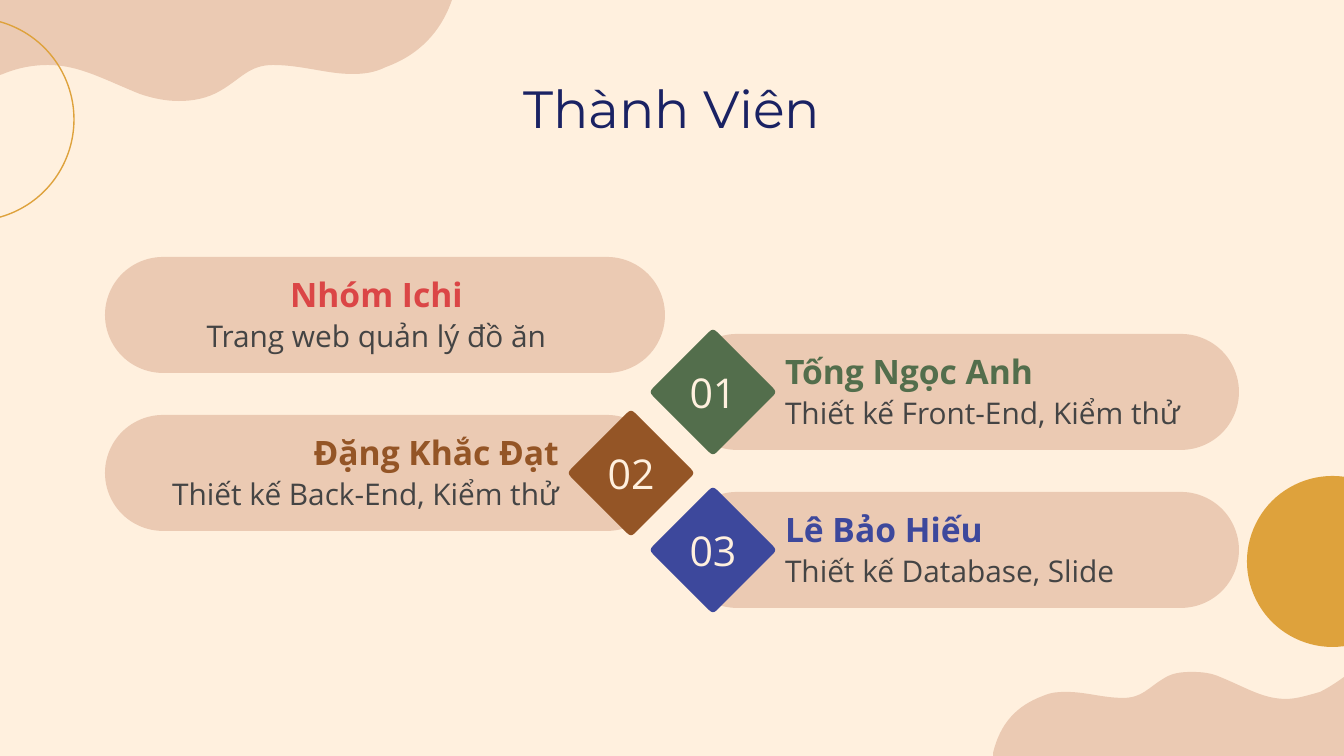
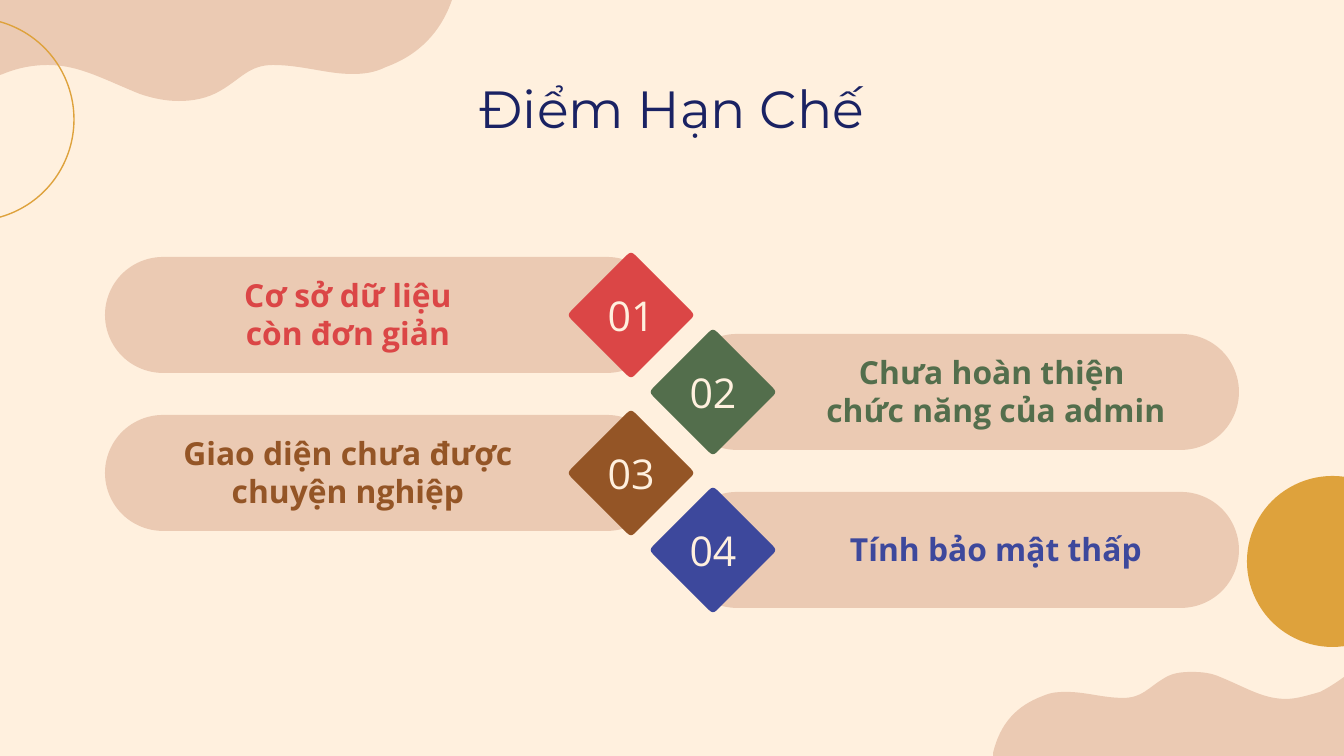
import pptx
import pptx.util
import pptx.dml.color
import pptx.enum.shapes
import pptx.enum.text
import pptx.oxml
import pptx.oxml.ns

# Content: (colour, number, lines) by slot, the slots alternating left and right
MEMBERS = [
    ("red", None, ["Nhóm Ichi", "Trang web quản lý đồ ăn"]),
    ("green", "01", ["Tống Ngọc Anh", "Thiết kế Front-End, Kiểm thử"]),
    ("brown", "02", ["Đặng Khắc Đạt", "Thiết kế Back-End, Kiểm thử"]),
    ("indigo", "03", ["Lê Bảo Hiếu", "Thiết kế Database, Slide"]),
]
LIMITS = [
    ("red", "01", ["Cơ sở dữ liệu", "còn đơn giản"]),
    ("green", "02", ["Chưa hoàn thiện ", "chức năng của admin"]),
    ("brown", "03", ["Giao diện chưa được chuyện nghiệp"]),
    ("indigo", "04", ["Tính bảo mật thấp"]),
]

# Shared style
COLORS = {
    "cream": "FFF0DE", "sand": "EBCAB3", "gold": "DEA23C", "navy": "1A2263",
    "gray": "444444", "red": "DB4646", "green": "536E4C", "brown": "945526",
    "indigo": "3D489C",
}
STYLES = {
    "title": {"name": "Montserrat", "size": 28, "bold": False},
    "number": {"name": "Open Sans", "size": 22, "bold": False},
    "name": {"name": "Open Sans", "size": 18, "bold": True},
    "role": {"name": "Open Sans", "size": 16, "bold": False},
    "limit": {"name": "Open Sans", "size": 17, "bold": True},
}
PX = 914400 / 134.4
PAGE_W, PAGE_H = 1344, 756
PILL_W, PILL_H = 560, 116
PILL_X = (105, 679)
TEXT_X = (124, 772)
DIAMOND_X = (568, 650)
DIAMOND = 126
TEXT_W, LINE_H, LIMIT_H = 448, 36, 75
INSET = 13

# Outlines: one point is a line, three points are a Bezier curve
TOP_WAVE = [
    [(0, 0)], [(0, 75)], [(3, 74)],
    [(20, 67), (35, 65), (48, 65)],
    [(79, 65), (103, 79), (140, 94)],
    [(152, 98), (165, 101), (179, 101)],
    [(194, 101), (208, 98), (220, 91)],
    [(241, 79), (249, 65), (273, 65)],
    [(302, 65), (327, 74), (352, 74)],
    [(363, 74), (374, 73), (386, 67)],
    [(419, 55), (441, 32), (452, 0)],
]
BOTTOM_WAVE = [
    [(1344, 756)], [(1344, 677)],
    [(1336, 683), (1328, 688), (1320, 692)],
    [(1306, 696), (1296, 699), (1286, 699)],
    [(1263, 699), (1247, 688), (1220, 677)],
    [(1211, 673), (1202, 672), (1192, 672)],
    [(1181, 672), (1172, 673), (1163, 679)],
    [(1148, 688), (1142, 698), (1123, 698)],
    [(1103, 698), (1086, 692), (1067, 692)],
    [(1059, 692), (1052, 692), (1043, 696)],
    [(1016, 706), (1000, 724), (993, 753)],
    [(993, 756)],
]

SHAPE = pptx.enum.shapes.MSO_SHAPE
ALIGN = pptx.enum.text.PP_ALIGN


def emu(px):
    return round(px * PX)


def rgb(color):
    return pptx.dml.color.RGBColor.from_string(COLORS[color])


def paint(shape, fill=None, line=None):
    shape.shadow.inherit = False
    if fill:
        shape.fill.solid()
        shape.fill.fore_color.rgb = rgb(fill)
    else:
        shape.fill.background()
    if line:
        shape.line.color.rgb = rgb(line)
        shape.line.width = pptx.util.Pt(0.75)
    else:
        shape.line.fill.background()


def add_preset(page, kind, left, top, width, height, **colors):
    shape = page.shapes.add_shape(kind, emu(left), emu(top), emu(width), emu(height))
    paint(shape, **colors)
    return shape


def add_outline(page, segments, fill):
    points = [(emu(x), emu(y)) for segment in segments for x, y in segment]
    builder = page.shapes.build_freeform(*points[0])
    builder.add_line_segments(points[1:], close=True)
    shape = builder.convert_to_shape()
    # Join each run of three line steps that stands for a curve
    steps = iter(shape._element.findall(".//" + pptx.oxml.ns.qn("a:lnTo")))
    for segment in segments[1:]:
        group = [next(steps) for _ in segment]
        if len(group) == 3:
            curve = pptx.oxml.parse_xml(
                "<a:cubicBezTo %s/>" % pptx.oxml.ns.nsdecls("a"))
            group[0].addprevious(curve)
            for step in group:
                curve.append(step[0])
                step.getparent().remove(step)
    paint(shape, fill=fill)
    return shape


def write(shape, lines, style, color, align=ALIGN.CENTER):
    frame = shape.text_frame
    layout = {"word_wrap": True, "vertical_anchor": pptx.enum.text.MSO_ANCHOR.MIDDLE}
    for side in ("left", "right", "top", "bottom"):
        layout["margin_" + side] = emu(INSET)
    for key, value in layout.items():
        setattr(frame, key, value)
    for index, line in enumerate(lines):
        para = frame.add_paragraph() if index else frame.paragraphs[0]
        para.alignment = align
        span = para.add_run()
        span.text = line
        for key, value in STYLES[style].items():
            setattr(span.font, key, pptx.util.Pt(value) if key == "size" else value)
        span.font.color.rgb = rgb(color)


def add_text(holder, left, top, width, height, *text, **options):
    box = holder.shapes.add_textbox(emu(left), emu(top), emu(width), emu(height))
    write(box, *text, **options)


def add_diamond(page, left, top, color, number):
    # Each tip is cut back by 4 px and rounded
    half = DIAMOND // 2
    reach = half + 1
    segments = []
    for dx, dy in ((0, -1), (1, 0), (0, 1), (-1, 0)):
        x, y = left + half + dx * reach, top + half + dy * reach
        corner = [(x - cut * dx + turn * dy, y - cut * dy - turn * dx)
                  for cut, turn in ((4, 4), (1, 1), (1, -1), (4, -4))]
        segments += [corner[:1], corner[1:]]
    write(add_outline(page, segments, color), [number], "number", "cream")


def add_page(deck, title):
    page = deck.slides.add_slide(deck.slide_layouts[6])
    page.background.fill.solid()
    page.background.fill.fore_color.rgb = rgb("cream")
    add_outline(page, BOTTOM_WAVE, "sand")
    add_preset(page, SHAPE.OVAL, 1247, 476, 171, 171, fill="gold")
    add_outline(page, TOP_WAVE, "sand")
    add_preset(page, SHAPE.OVAL, -129, 18, 203, 203, line="gold")
    add_text(page, 105, 66, 1134, 84, [title], "title", "navy")
    return page


def place(slot):
    row, side = divmod(slot, 2)
    return side, 257 + 158 * row + 77 * side


def add_pills(page, items):
    for slot in range(len(items)):
        side, top = place(slot)
        pill = add_preset(page, SHAPE.ROUNDED_RECTANGLE, PILL_X[side], top,
                          PILL_W, PILL_H, fill="sand")
        pill.adjustments[0] = 0.5
    for slot, (color, number, _) in enumerate(items):
        side, top = place(slot)
        if number:
            add_diamond(page, DIAMOND_X[side], top - 5, color, number)


def add_members(deck):
    page = add_page(deck, "Thành Viên")
    add_pills(page, MEMBERS)
    for slot, (color, number, (name, role)) in enumerate(MEMBERS):
        side, top = place(slot)
        align = (ALIGN.RIGHT, ALIGN.LEFT)[side] if number else ALIGN.CENTER
        width = TEXT_W if number else 505
        group = page.shapes.add_group_shape()
        for offset, line, style, ink in ((61, role, "role", "gray"),
                                         (19, name, "name", color)):
            add_text(group, TEXT_X[side], top + offset, width, LINE_H,
                     [line], style, ink, align=align)


def add_limits(deck):
    page = add_page(deck, "Điểm Hạn Chế")
    add_pills(page, LIMITS)
    for slot, (color, _, lines) in enumerate(LIMITS):
        side, top = place(slot)
        add_text(page, TEXT_X[side], top + 19, TEXT_W, LIMIT_H,
                 lines, "limit", color)


def main():
    deck = pptx.Presentation()
    deck.slide_width, deck.slide_height = emu(PAGE_W), emu(PAGE_H)
    add_members(deck)
    add_limits(deck)
    deck.save("out.pptx")


if __name__ == "__main__":
    main()
